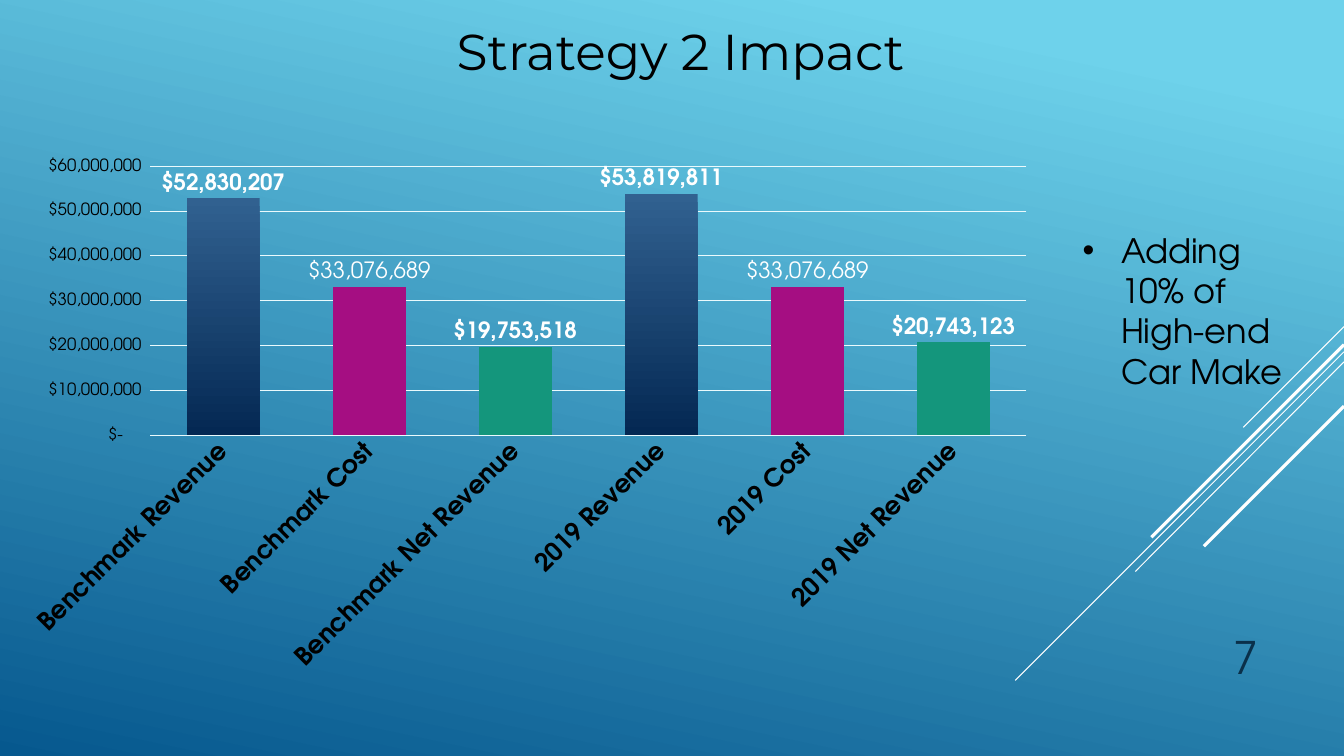
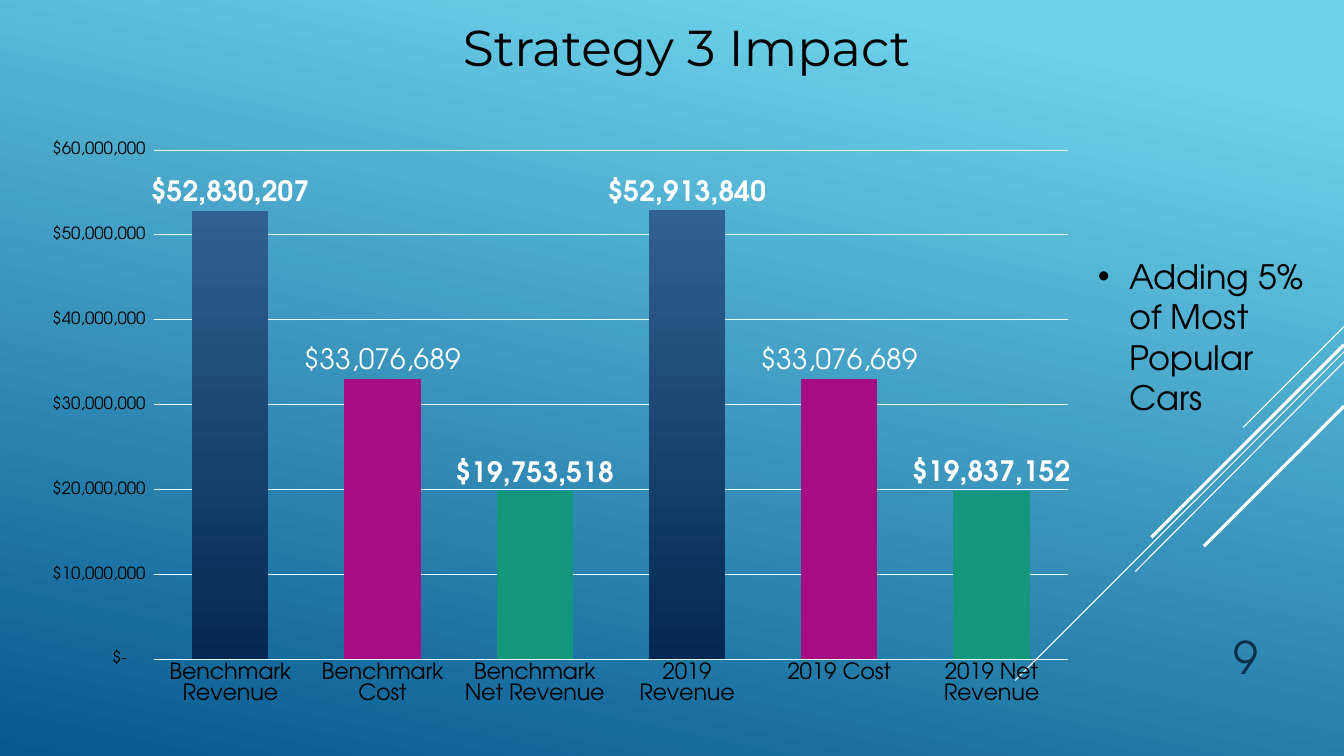
from lxml import etree
from pptx import Presentation
from pptx.chart.data import CategoryChartData
from pptx.dml.color import RGBColor
from pptx.enum import chart as ch, shapes, text
from pptx.oxml import parse_xml
from pptx.oxml.ns import nsdecls, qn
from pptx.util import Inches, Pt

# Content
CATS = ["Benchmark Revenue", "Benchmark Cost", "Benchmark Net Revenue",
        "2019 Revenue", "2019 Cost", "2019 Net Revenue"]
SLIDES = [
    dict(title="Strategy 2 Impact", head=(0.67, 0.15, 12.16, 0.71),
         vals=[52830207, 33076689, 19753518, 53819811, 33076689, 20743123],
         chart=(0.14, 1.47, 10.24, 5.29), plot=(1.49, 1.65, 8.69, 2.67),
         cat=dict(size=18, bold=True), turn=-45, label=16,
         note="Adding 10% of High-end Car Make",
         side=(10.64, 2.23, 2.18, 1.72), indent=0.38, num="7"),
    dict(title="Strategy 3 Impact", head=(1, 0.11, 11.62, 0.71),
         vals=[52830207, 33076689, 19753518, 52913840, 33076689, 19837152],
         chart=(0.26, 1.3, 10.53, 5.82), plot=(1.53, 1.49, 9.06, 5.05),
         cat=dict(size=16), turn=0, label=20,
         note="Adding 5% of Most Popular Cars",
         side=(10.79, 2.49, 2.39, 1.72), indent=0.31, num="9"),
]

# Shared style
WIDE, TALL = 13.33, 7.5
HEAD, BODY = "Montserrat", "TeX Gyre Adventor"
BLACK, WHITE, GRID, NAVY = "000000", "FFFFFF", "EAFAFD", "0A304A"
SKY = [(0.1, "6ED2EB"), (1, "06588E")]
BARS = [[(0, "316190"), (1, "042853")], "A50E82", "14967C"]
MONEY = '_("$"* #,##0_);_("$"* \\(#,##0\\);_("$"* "-"??_);_(@_)'
NUM_BOX = (11.33, 6.1, 1.25, 0.73)
# Diagonal rays: start height on the right edge, end point, weight
RAYS = [(3.24, 12.33, 4.24, 0.75), (3.49, 10.07, 6.75, 0.75),
        (3.59, 11.26, 5.67, 0.75), (3.42, 11.42, 5.33, 2.25),
        (4.03, 11.94, 5.42, 2.25)]


def rgb(tone):
    return RGBColor.from_string(tone)


def paint(fill, tone, angle=90):
    """Fill with one colour, or with a gradient at a clockwise angle."""
    if isinstance(tone, str):
        fill.solid()
        fill.fore_color.rgb = rgb(tone)
        return
    fill.gradient()
    fill.gradient_angle = 360 - angle
    for stop, (pos, color) in zip(fill.gradient_stops, tone):
        stop.position = pos
        stop.color.rgb = rgb(color)


def style(font, size, color=BLACK, name=BODY, bold=False):
    font.size, font.name, font.bold = Pt(size), name, bold
    font.color.rgb = rgb(color)


def stroke(line, color, weight):
    line.color.rgb = rgb(color)
    line.width = Pt(weight)


def add_text(slide, box, words, size, color=BLACK, name=BODY, align="LEFT",
             anchor="TOP"):
    frame = slide.shapes.add_textbox(*map(Inches, box)).text_frame
    frame.word_wrap = True
    frame.vertical_anchor = getattr(text.MSO_ANCHOR, anchor)
    para = frame.paragraphs[0]
    para.alignment = getattr(text.PP_ALIGN, align)
    run = para.add_run()
    run.text = words
    style(run.font, size, color, name)
    return para


def add_bullet(para, indent):
    props = para._p.get_or_add_pPr()
    props.set("marL", str(Inches(indent)))
    props.set("indent", str(-Inches(indent)))
    etree.SubElement(props, qn("a:buFont")).set("typeface", "Arial")
    etree.SubElement(props, qn("a:buChar")).set("char", "•")


def add_rays(slide):
    for top, x, y, weight in RAYS:
        ray = slide.shapes.add_connector(
            shapes.MSO_CONNECTOR.STRAIGHT,
            *map(Inches, (WIDE, top, x, y)))
        stroke(ray.line, WHITE, weight)
        etree.SubElement(ray._element.spPr, qn("a:effectLst"))


def place_plot(chart, box, plot):
    """Pin the inner plot area, given in slide inches."""
    left, top, width, height = box
    parts = dict(x=(plot[0] - left) / width, y=(plot[1] - top) / height,
                 w=plot[2] / width, h=plot[3] / height)
    sizes = "".join(f'<c:{key} val="{val:.4f}"/>'
                    for key, val in parts.items())
    area = chart._chartSpace.chart.plotArea
    for old in area.findall(qn("c:layout")):
        area.remove(old)
    area.insert(0, parse_xml(
        f'<c:layout {nsdecls("c")}><c:manualLayout>'
        '<c:layoutTarget val="inner"/><c:xMode val="edge"/>'
        f'<c:yMode val="edge"/>{sizes}</c:manualLayout></c:layout>'))


def add_bars(slide, item):
    data = CategoryChartData()
    data.categories = CATS
    data.add_series("Series 1", item["vals"])
    chart = slide.shapes.add_chart(
        ch.XL_CHART_TYPE.COLUMN_CLUSTERED,
        *map(Inches, item["chart"]), data).chart
    chart.has_title = chart.has_legend = False
    style(chart.font, 10, WHITE)
    place_plot(chart, item["chart"], item["plot"])

    # Axes
    cat, val = chart.category_axis, chart.value_axis
    for axis in (cat, val):
        axis.major_tick_mark = axis.minor_tick_mark = ch.XL_TICK_MARK.NONE
    style(cat.tick_labels.font, **item["cat"])
    cat._element.txPr.bodyPr.set("rot", str(item["turn"] * 60000))
    stroke(cat.format.line, GRID, 0.75)
    style(val.tick_labels.font, 12)
    val.tick_labels.number_format = MONEY
    val.tick_labels.number_format_is_linked = False
    val.minimum_scale, val.maximum_scale = 0, 60000000
    val.major_unit = 10000000
    val.format.line.fill.background()
    val.has_major_gridlines = True
    stroke(val.major_gridlines.format.line, GRID, 0.75)

    # Columns and their labels; every one but cost is bold
    plot = chart.plots[0]
    plot.gap_width, plot.overlap = 100, -24
    plot.vary_by_categories = False
    series = plot.series[0]
    paint(series.format.fill, BARS[0])
    labels = series.data_labels
    labels.show_value = True
    labels.number_format = MONEY
    labels.number_format_is_linked = False
    labels.position = ch.XL_LABEL_POSITION.OUTSIDE_END
    style(labels.font, item["label"], WHITE)
    for i in range(len(CATS)):
        kind = i % len(BARS)
        point = series.points[i]
        paint(point.format.fill, BARS[kind])
        if kind != 1:
            style(point.data_label.font, item["label"], WHITE, bold=True)
            point.data_label.position = ch.XL_LABEL_POSITION.OUTSIDE_END


def main():
    prs = Presentation()
    prs.slide_width, prs.slide_height = Inches(WIDE), Inches(TALL)
    paint(prs.slide_master.background.fill, SKY, 102)
    for item in SLIDES:
        slide = prs.slides.add_slide(prs.slide_layouts[6])
        add_rays(slide)
        add_text(slide, item["head"], item["title"], 36, name=HEAD,
                 align="CENTER")
        add_bars(slide, item)
        note = add_text(slide, item["side"], item["note"], 24)
        add_bullet(note, item["indent"])
        add_text(slide, NUM_BOX, item["num"], 32, NAVY, align="RIGHT",
                 anchor="BOTTOM")
    prs.save("out.pptx")


if __name__ == "__main__":
    main()
